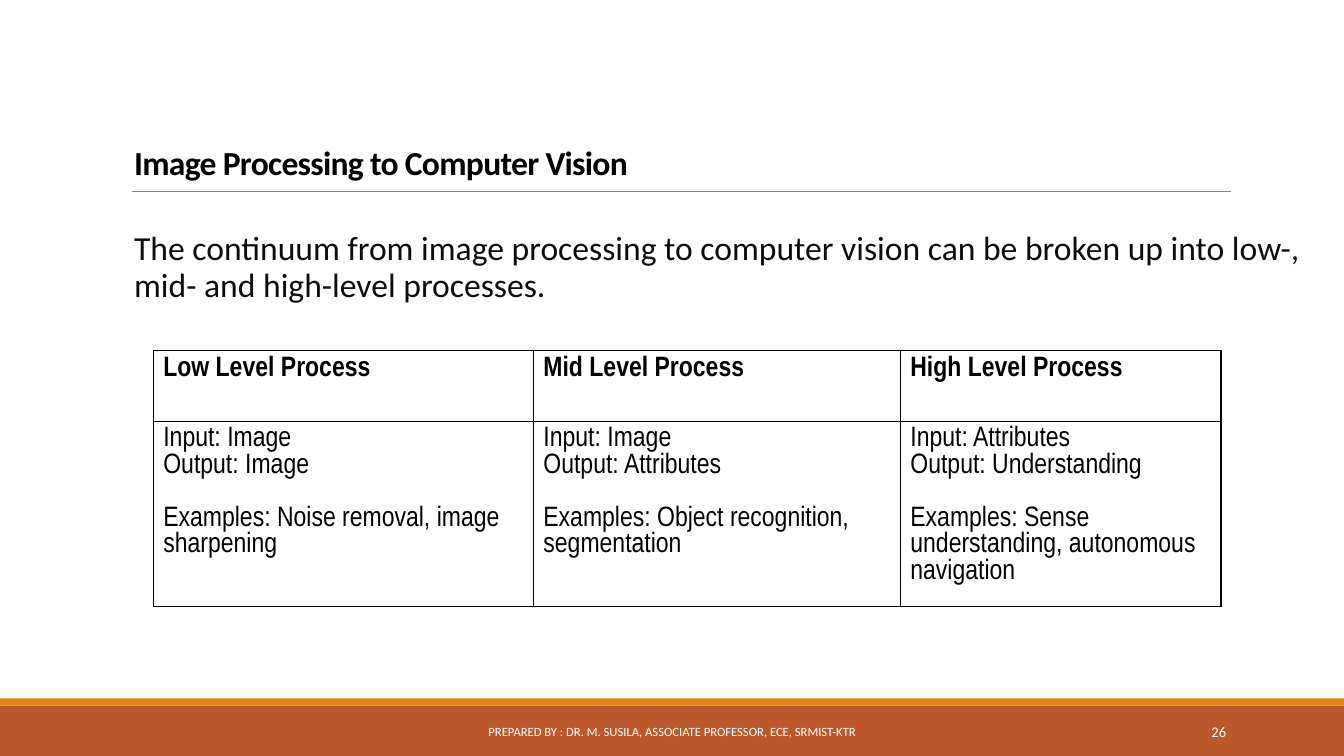
from lxml import etree
from pptx import Presentation
from pptx.dml.color import RGBColor
from pptx.enum.shapes import MSO_CONNECTOR, MSO_SHAPE
from pptx.enum.text import MSO_ANCHOR, MSO_AUTO_SIZE, PP_ALIGN
from pptx.oxml import parse_xml
from pptx.oxml.ns import nsdecls, qn
from pptx.util import Inches, Pt

RECTANGLE = MSO_SHAPE.RECTANGLE
STRAIGHT = MSO_CONNECTOR.STRAIGHT
BOTTOM, MIDDLE, TOP = MSO_ANCHOR.BOTTOM, MSO_ANCHOR.MIDDLE, MSO_ANCHOR.TOP
LEFT, CENTER, RIGHT = PP_ALIGN.LEFT, PP_ALIGN.CENTER, PP_ALIGN.RIGHT
NO_AUTOFIT = MSO_AUTO_SIZE.NONE

COLORS = {
    "rust": "BD582C",
    "orange": "E48312",
    "rule": "808080",
    "black": "000000",
    "body": "0D0D0D",
    "white": "FFFFFF",
}


def style(paragraph, size, color, font="Calibri", bold=False, align=LEFT):
    paragraph.alignment = align
    paragraph.font.size = Pt(size)
    paragraph.font.name = font
    paragraph.font.bold = bold
    paragraph.font.color.rgb = RGBColor.from_string(COLORS[color])


def place(shape, left, top, width, height):
    shape.left, shape.top = Inches(left), Inches(top)
    shape.width, shape.height = Inches(width), Inches(height)


prs = Presentation()
prs.slide_width, prs.slide_height = Inches(13.33), Inches(7.5)
slide = prs.slides.add_slide(prs.slide_layouts[1])

# Footer bands
for top, height, color in [(7, 0.5, "rust"), (6.93, 0.07, "orange")]:
    band = slide.shapes.add_shape(RECTANGLE, 0, Inches(top), prs.slide_width, Inches(height))
    band.shadow.inherit = False
    band.fill.solid()
    band.fill.fore_color.rgb = RGBColor.from_string(COLORS[color])
    band.line.fill.background()

# Rule under the title
title_rule = slide.shapes.add_connector(STRAIGHT, Inches(1.31), Inches(1.9), Inches(12.21), Inches(1.9))
title_rule.line.color.rgb = RGBColor.from_string(COLORS["rule"])
title_rule.line.width = Pt(0.5)
etree.SubElement(title_rule._element.spPr, qn("a:effectLst"))

# Title
title = slide.shapes.title
place(title, 1.23, 1.02, 11.5, 0.84)
title.text_frame.text = "Image Processing to Computer Vision"
title.text_frame.auto_size = NO_AUTOFIT
title.text_frame.vertical_anchor = BOTTOM
heading = title.text_frame.paragraphs[0]
heading.line_spacing = 0.85
style(heading, 24, "black", bold=True)
heading.runs[0]._r.get_or_add_rPr().set("spc", "-50")

# Introductory sentence
intro = slide.placeholders[1]
place(intro, 1.23, 2.25, 11.83, 4.81)
intro_frame = intro.text_frame
intro_frame.text = (
    "The continuum from image processing to computer vision can be broken up "
    "into low-, mid- and high-level processes."
)
intro_frame.auto_size = NO_AUTOFIT
intro_frame.vertical_anchor = TOP
intro_frame.margin_left = intro_frame.margin_right = 0
sentence = intro_frame.paragraphs[0]
sentence.line_spacing = 0.9
sentence.space_before, sentence.space_after = Pt(0), Pt(2)
sentence_props = sentence._p.get_or_add_pPr()
sentence_props.set("marL", str(Inches(0.1)))
sentence_props.set("indent", str(-Inches(0.1)))
etree.SubElement(sentence_props, qn("a:buChar")).set("char", " ")
style(sentence, 24, "body")

# Table of process levels: heading, input, output, examples
levels = [
    ("Low Level Process", "Image", "Image", "Noise removal, image sharpening"),
    ("Mid Level Process", "Image", "Attributes", "Object recognition, segmentation"),
    ("High Level Process", "Attributes", "Understanding",
     "Sense understanding, autonomous navigation"),
]
level_table = slide.shapes.add_table(
    2, len(levels), Inches(1.52), Inches(3.48), Inches(10.59), Inches(2.54)
).table
for row, height in zip(level_table.rows, [0.7, 1.84]):
    row.height = Inches(height)
for column, width in zip(level_table.columns, [3.77, 3.64, 3.18]):
    column.width = Inches(width)

for col, (name, source, result, examples) in enumerate(levels):
    details = f"Input: {source}\nOutput: {result}\nExamples: {examples}"
    for row, text in enumerate([name, details]):
        cell = level_table.cell(row, col)
        cell.text = text
        for side in ("lnL", "lnR", "lnT", "lnB"):
            cell._tc.get_or_add_tcPr().append(parse_xml(
                f'<a:{side} {nsdecls("a")} w="{Pt(1)}"><a:solidFill>'
                f'<a:srgbClr val="{COLORS["black"]}"/></a:solidFill></a:{side}>'
            ))
        cell.fill.solid()
        cell.fill.fore_color.rgb = RGBColor.from_string(COLORS["white"])
        for paragraph in cell.text_frame.paragraphs:
            style(paragraph, 20, "black", font="Arial Narrow", bold=row == 0)
    # One line of space sets the examples apart
    paragraph.space_before = Pt(19)

# Slide number and credit line
footers = [
    ("26", 10.83, 1.43, 10.5, RIGHT),
    ("PREPARED BY : DR. M. SUSILA, ASSOCIATE PROFESSOR, ECE, SRMIST-KTR", 4.03, 5.27, 9, CENTER),
]
for text, left, width, size, align in footers:
    footer = slide.shapes.add_textbox(Inches(left), Inches(7.06), Inches(width), Inches(0.4))
    footer.text_frame.word_wrap = True
    footer.text_frame.vertical_anchor = MIDDLE
    footer.text_frame.text = text
    style(footer.text_frame.paragraphs[0], size, "white", align=align)

prs.save("out.pptx")
